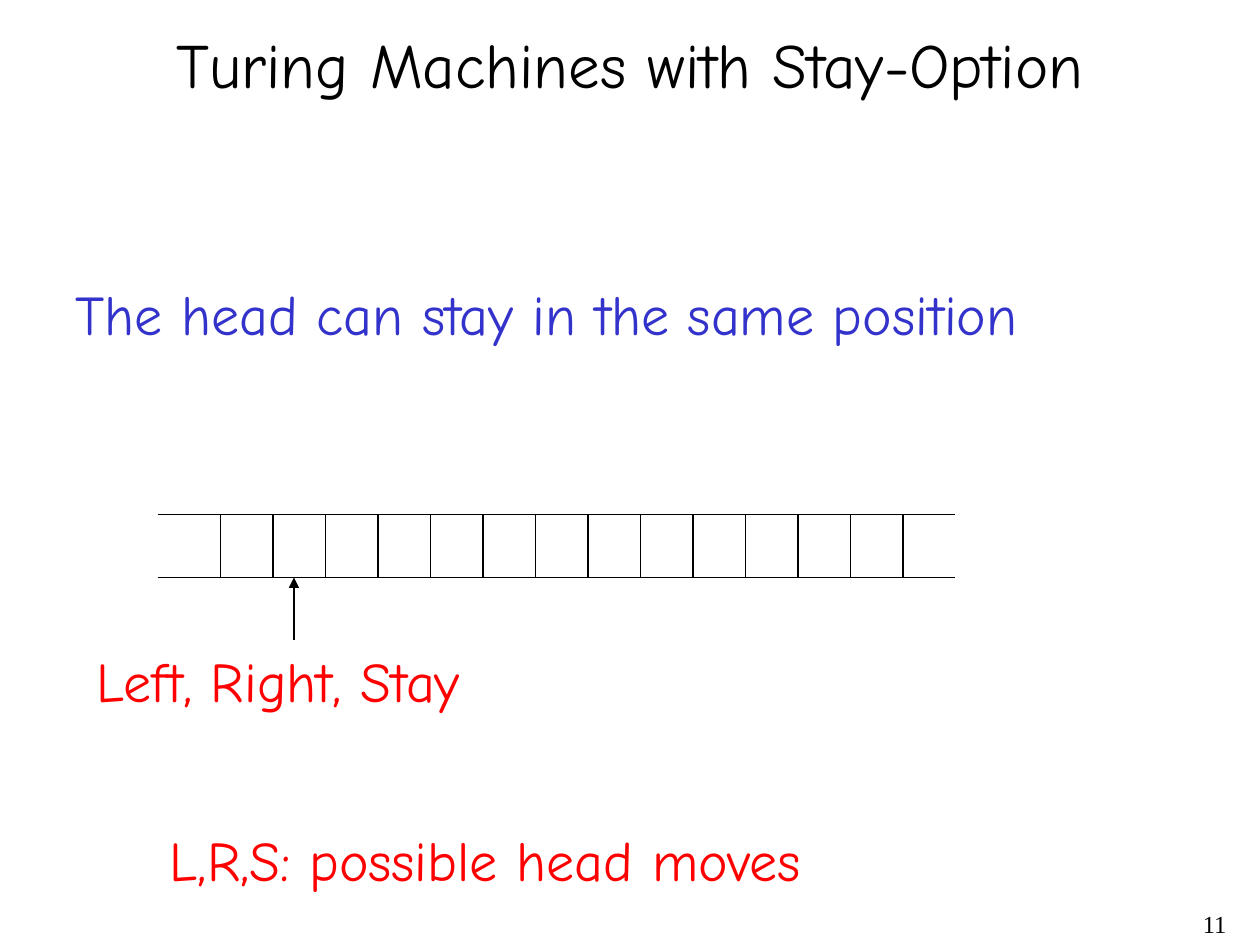
from pptx import Presentation
from pptx import util as u
from pptx.dml.color import RGBColor
from pptx.enum import shapes, text
from pptx.oxml.ns import qn
from lxml import etree

UNIT = u.Inches(1) / 12  # slide grid: 120 columns by 90 rows
BLACK, BLUE, RED = "000000", "3333CC", "FF0000"
BODY_FONT, NUMBER_FONT = "Comic Neue", "Times New Roman"


def grid(*values):
    """Turn grid columns or rows into lengths."""
    return [u.Emu(round(v * UNIT)) for v in values]


def color(hex_code):
    return RGBColor.from_string(hex_code)


def write(sp, words, size=32, font=BODY_FONT, fill=BLACK,
          align=text.PP_ALIGN.LEFT, anchor=text.MSO_ANCHOR.TOP):
    tf = sp.text_frame
    tf.word_wrap = True
    tf.auto_size = text.MSO_AUTO_SIZE.NONE
    tf.vertical_anchor = anchor
    p = tf.paragraphs[0]
    p.alignment = align
    r = p.add_run()
    r.text = words
    r.font.size, r.font.name = u.Pt(size), font
    r.font.color.rgb = color(fill)


def add_title(s, box, words):
    sp = s.shapes.title
    sp.left, sp.top, sp.width, sp.height = grid(*box)
    write(sp, words, size=36, align=text.PP_ALIGN.CENTER,
          anchor=text.MSO_ANCHOR.MIDDLE)


def add_text(s, box, words, **fmt):
    write(s.shapes.add_textbox(*grid(*box)), words, **fmt)


def add_line(s, x1, y1, x2, y2, arrow=False):
    line = s.shapes.add_connector(shapes.MSO_CONNECTOR.STRAIGHT,
                                  *grid(x1, y1, x2, y2))
    line.line.color.rgb = color(BLACK)
    line.line.width = u.Pt(0.75)
    if arrow:
        etree.SubElement(line.line._get_or_add_ln(), qn("a:tailEnd"),
                         type="triangle")
    etree.SubElement(line._element.spPr, qn("a:effectLst"))


def add_tape(s, box, first=6, cell=5, dividers=14, head=13):
    """Draw an open-ended tape with a head arrow below; offsets from its left."""
    left, top, width, height = box
    bottom = top + height
    for y in (top, bottom):
        add_line(s, left, y, left + width, y)
    for i in range(dividers):
        x = left + first + i * cell
        add_line(s, x, top, x, bottom)
    add_line(s, left + head, bottom + height, left + head, bottom, arrow=True)


def main():
    prs = Presentation()
    prs.slide_width, prs.slide_height = grid(120, 90)
    s = prs.slides.add_slide(prs.slide_layouts[5])
    add_title(s, (2, 2, 116, 8), "Turing Machines with Stay-Option")
    add_text(s, (6, 26, 98.6, 7.6), "The head can stay in the same position",
             fill=BLUE)
    add_tape(s, (15, 49, 76, 6))
    add_text(s, (8, 61, 44.6, 7.6), "Left, Right, Stay", fill=RED)
    add_text(s, (15, 78, 68.6, 7.6), "L,R,S: possible head moves", fill=RED)
    add_text(s, (93, 86, 25, 4), "11", size=14, font=NUMBER_FONT,
             align=text.PP_ALIGN.RIGHT)
    prs.save("out.pptx")


if __name__ == "__main__":
    main()
